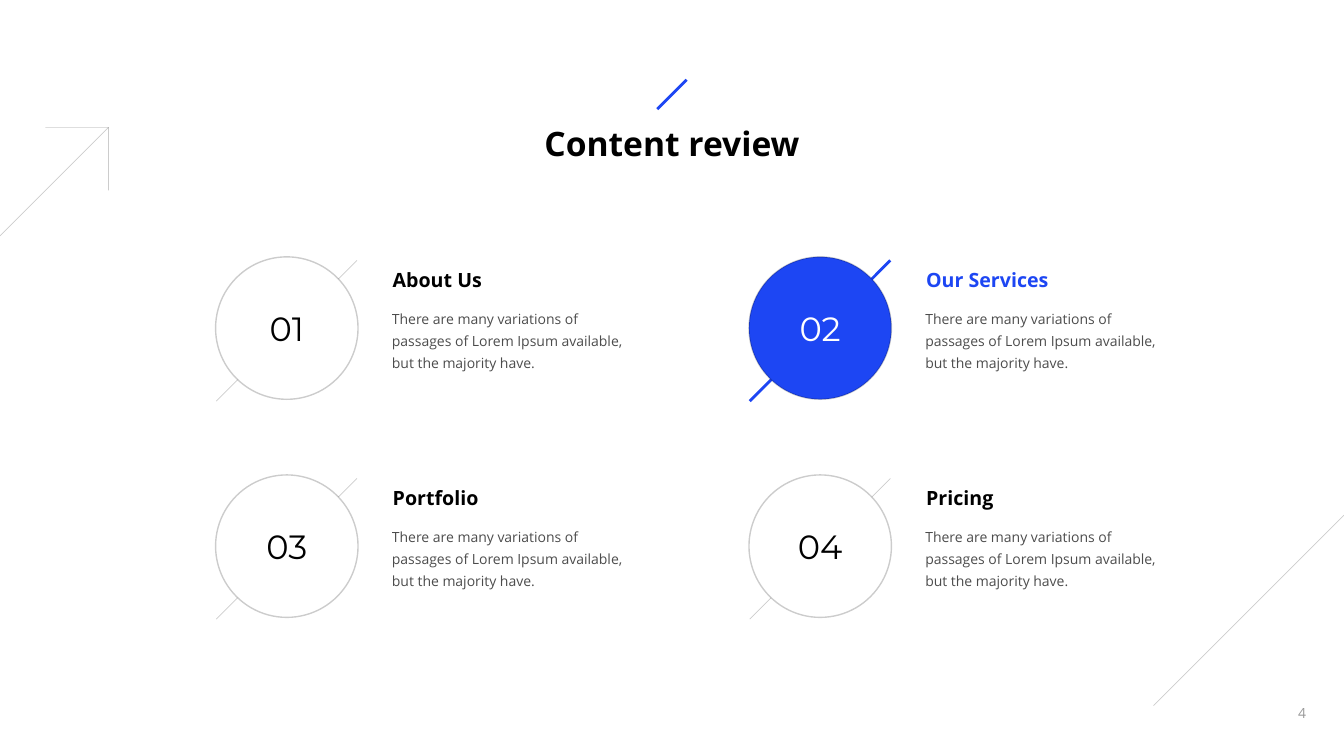
from pptx import Presentation
from pptx.dml.color import RGBColor
from pptx.enum.shapes import MSO_CONNECTOR, MSO_SHAPE
from pptx.enum.text import MSO_ANCHOR, MSO_AUTO_SIZE, PP_ALIGN
from pptx.oxml.ns import qn
from pptx.util import Pt
from lxml import etree

STRAIGHT = MSO_CONNECTOR.STRAIGHT
OVAL = MSO_SHAPE.OVAL
TOP, MIDDLE = MSO_ANCHOR.TOP, MSO_ANCHOR.MIDDLE
CENTER = PP_ALIGN.CENTER
FIT_SHAPE, NO_FIT = MSO_AUTO_SIZE.SHAPE_TO_FIT_TEXT, MSO_AUTO_SIZE.NONE
BLACK = RGBColor(0x00, 0x00, 0x00)
WHITE = RGBColor(0xFF, 0xFF, 0xFF)
BLUE = RGBColor(0x1D, 0x46, 0xF3)
BODY = ("There are many variations of passages of Lorem Ipsum available, "
        "but the majority have.")


def set_opacity(element, percent):
    for color in element.iter(qn("a:srgbClr")):
        etree.SubElement(color, qn("a:alpha")).set("val", str(percent * 1000))


def add_line(x1, y1, x2, y2, accent=False):
    line = s.shapes.add_connector(STRAIGHT, Pt(x1), Pt(y1), Pt(x2), Pt(y2))
    line.line.color.rgb = BLUE if accent else BLACK
    line.line.width = Pt(2 if accent else 0.5)
    if not accent:
        set_opacity(line.element.spPr, 20)
    etree.SubElement(line.element.spPr, qn("a:effectLst"))


prs = Presentation()
prs.slide_width, prs.slide_height = Pt(960), Pt(540)
s = prs.slides.add_slide(prs.slide_layouts[5])

add_line(469.5, 78, 490.5, 57, accent=True)
add_line(0, 168.5, 77.5, 91)
add_line(77.5, 91, 77.5, 136)
add_line(77.5, 91, 32.5, 91)
add_line(824, 504, 960, 368)

title = s.shapes.title
title.left, title.top, title.width, title.height = Pt(136), Pt(78), Pt(688), Pt(50)
tf = title.text_frame
tf.text = "Content review"
tf.auto_size = NO_FIT
tf.vertical_anchor = TOP
tf.margin_left = tf.margin_right = tf.margin_bottom = 0
tf.margin_top = Pt(15)
p = tf.paragraphs[0]
p.alignment = CENTER
p.line_spacing = 0.8
font = p.runs[0].font
font.name, font.size, font.bold = "Open Sans", Pt(24), True
font.color.rgb = BLACK

number = s.shapes.add_textbox(Pt(910), Pt(500.5), Pt(40), Pt(18))
tf = number.text_frame
tf.text = "4"
tf.vertical_anchor = MIDDLE
tf.margin_left = tf.margin_right = tf.margin_top = tf.margin_bottom = 0
p = tf.paragraphs[0]
p.alignment = CENTER
font = p.runs[0].font
font.name, font.size = "Open Sans", Pt(10)
font.color.rgb = BLACK
set_opacity(p.runs[0]._r, 40)

sections = [("About Us", 64), ("Our Services", 88.5), ("Portfolio", 62), ("Pricing", 48.5)]
for i, (name, name_width) in enumerate(sections):
    row, col = divmod(i, 2)
    x, y = 154 + 381 * col, 183.5 + 155.75 * row
    active = name == "Our Services"

    add_line(x + 0.5, y + 103, x + 101, y + 2.5, accent=active)

    circle = s.shapes.add_shape(OVAL, Pt(x), Pt(y), Pt(101.75), Pt(101.75))
    circle.shadow.inherit = False
    circle.fill.solid()
    circle.fill.fore_color.rgb = BLUE if active else WHITE
    circle.line.color.rgb = BLACK
    circle.line.width = Pt(1)
    set_opacity(circle.element.spPr.find(qn("a:ln")), 20)
    tf = circle.text_frame
    tf.text = f"{i + 1:02d}"
    tf.vertical_anchor = MIDDLE
    p = tf.paragraphs[0]
    p.alignment = CENTER
    font = p.runs[0].font
    font.name, font.size = "Montserrat", Pt(24)
    font.color.rgb = WHITE if active else BLACK

    heading = s.shapes.add_textbox(Pt(x + 126.5), Pt(y + 4), Pt(name_width), Pt(24.5))
    body = s.shapes.add_textbox(Pt(x + 126), Pt(y + 31.25), Pt(169), Pt(54.5))
    for box, text, size in ((heading, name, 14), (body, BODY, 10)):
        tf = box.text_frame
        tf.text = text
        tf.auto_size = FIT_SHAPE
        tf.word_wrap = box is body
        tf.margin_left = tf.margin_right = 0
        font = tf.paragraphs[0].runs[0].font
        font.name, font.size = "Open Sans", Pt(size)
        font.bold = box is heading
        font.color.rgb = BLUE if active and box is heading else BLACK
    p = body.text_frame.paragraphs[0]
    p.line_spacing = 1.3
    set_opacity(p.runs[0]._r, 70)

prs.save("out.pptx")
